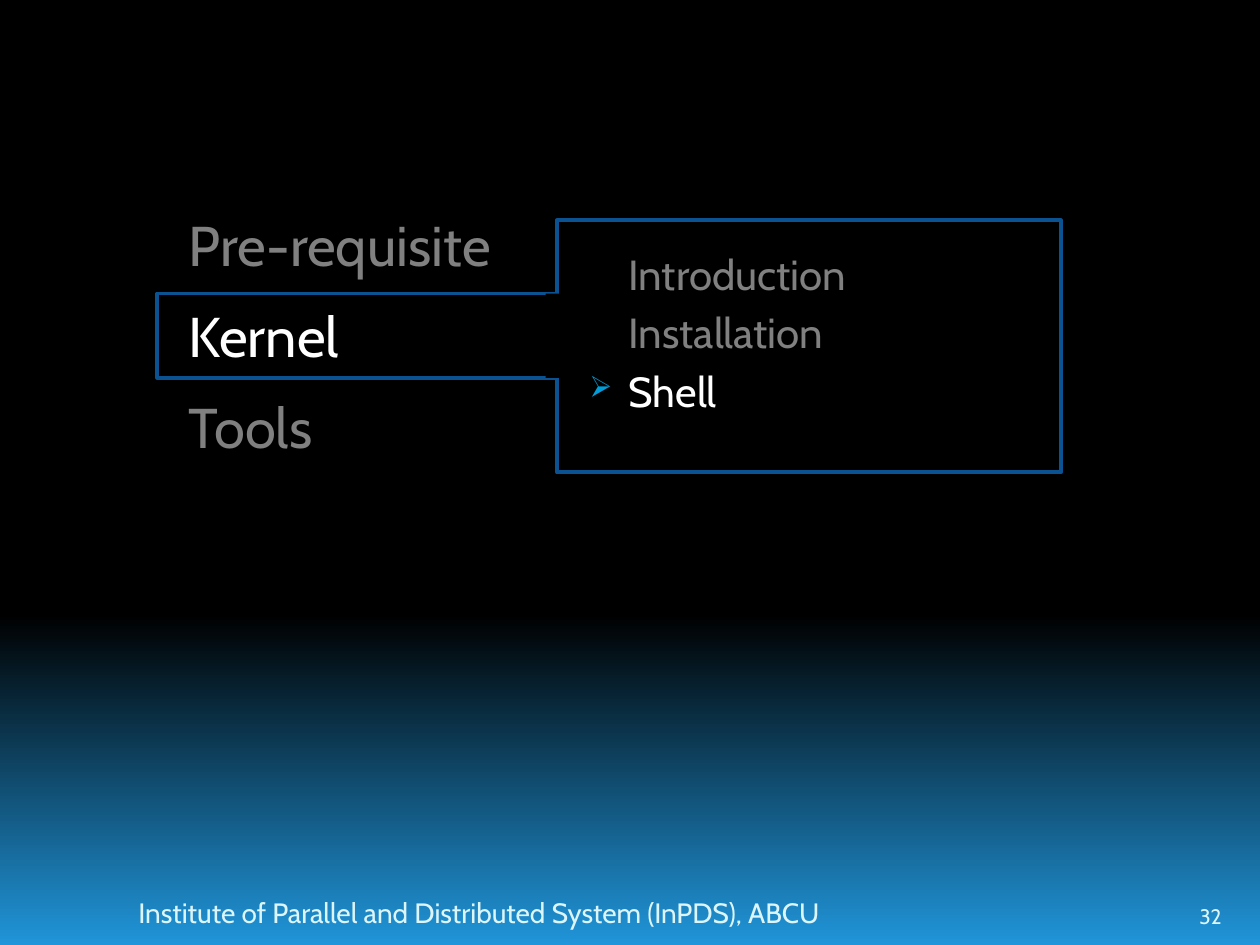
from lxml import etree
from pptx import Presentation
from pptx import util as u
from pptx.dml.color import RGBColor
from pptx.enum import shapes, text
from pptx.oxml.ns import qn

COLORS = {
    "black": "000000",
    "sky": "2095D9",
    "outline": "0B5292",
    "muted": "808080",
    "active": "FFFFFF",
    "bullet": "009DD9",
    "footer": "DBF5F9",
}
FONT = "Cabin"


def rgb(name):
    return RGBColor.from_string(COLORS[name])


def paint_background(page):
    fill = page.background.fill
    fill.gradient()
    fill.gradient_angle = 270
    for stop, (position, color) in zip(fill.gradient_stops, [(0.65, "black"), (1, "sky")]):
        stop.position = position
        stop.color.rgb = rgb(color)


def add_text_box(page, left, top, width, height, anchor=text.MSO_ANCHOR.TOP):
    box = page.shapes.add_textbox(u.Inches(left), u.Inches(top), u.Inches(width), u.Inches(height))
    frame = box.text_frame
    frame.word_wrap = True
    frame.vertical_anchor = anchor
    return frame


def add_span(para, words, size, color):
    span = para.add_run()
    span.text = words
    span.font.name = FONT
    span.font.size = u.Pt(size)
    span.font.color.rgb = rgb(color)


def set_indent(para, margin, first_line):
    properties = para._p.get_or_add_pPr()
    properties.set("marL", str(u.Inches(margin)))
    properties.set("indent", str(u.Inches(first_line)))
    return properties


def add_bullet(para, margin, hanging):
    properties = set_indent(para, margin, -hanging)
    color = etree.SubElement(properties, qn("a:buClr"))
    etree.SubElement(color, qn("a:srgbClr"), val=COLORS["bullet"])
    etree.SubElement(properties, qn("a:buSzPct"), val="70000")
    etree.SubElement(properties, qn("a:buChar"), char="➢")


def add_agenda(frame, items, active, size, margin, space_before, line_spacing=None, hanging=None):
    for index, item in enumerate(items):
        para = frame.add_paragraph() if index else frame.paragraphs[0]
        para.space_before = u.Pt(space_before)
        para.line_spacing = line_spacing
        if item == active and hanging:
            add_bullet(para, margin, hanging)
        else:
            set_indent(para, margin, 0)
        add_span(para, item, size, "active" if item == active else "muted")


def add_rectangle(page, left, top, width, height, line=None, fill=None):
    shape = page.shapes.add_shape(
        shapes.MSO_SHAPE.RECTANGLE,
        u.Inches(left), u.Inches(top), u.Inches(width), u.Inches(height))
    shape.shadow.inherit = False
    if fill:
        shape.fill.solid()
        shape.fill.fore_color.rgb = rgb(fill)
    else:
        shape.fill.background()
    if line:
        shape.line.color.rgb = rgb(line)
        shape.line.width = u.Pt(2.25)
    else:
        shape.line.fill.background()


def add_footer(page, left, width, words, size):
    frame = add_text_box(page, left, 7.02, width, 0.4, text.MSO_ANCHOR.BOTTOM)
    add_span(frame.paragraphs[0], words, size, "footer")


def main():
    deck = Presentation()
    deck.slide_width, deck.slide_height = u.Inches(10), u.Inches(7.5)
    page = deck.slides.add_slide(deck.slide_layouts[6])
    paint_background(page)

    chapters = add_text_box(page, 1.33, 1.53, 4.42, 4.64)
    add_agenda(chapters, ["Pre-requisite", "Kernel", "Tools"], "Kernel",
               size=32, margin=0.07, space_before=7, line_spacing=u.Pt(45))
    sections = add_text_box(page, 4.08, 1.92, 4.42, 4.25)
    add_agenda(sections, ["Introduction", "Installation", "Shell"], "Shell",
               size=24, margin=0.81, space_before=4.8, hanging=0.31)

    add_footer(page, 9.42, 0.5, "32", 12)
    add_rectangle(page, 1.25, 2.33, 3.17, 0.67, line="outline")
    add_rectangle(page, 4.42, 1.75, 4, 2, line="outline")
    add_rectangle(page, 4.33, 2.33, 0.33, 0.67, fill="black")
    add_footer(page, 1, 6.08,
               "Institute of Parallel and Distributed System (InPDS), ABCU", 16)
    deck.save("out.pptx")


if __name__ == "__main__":
    main()
